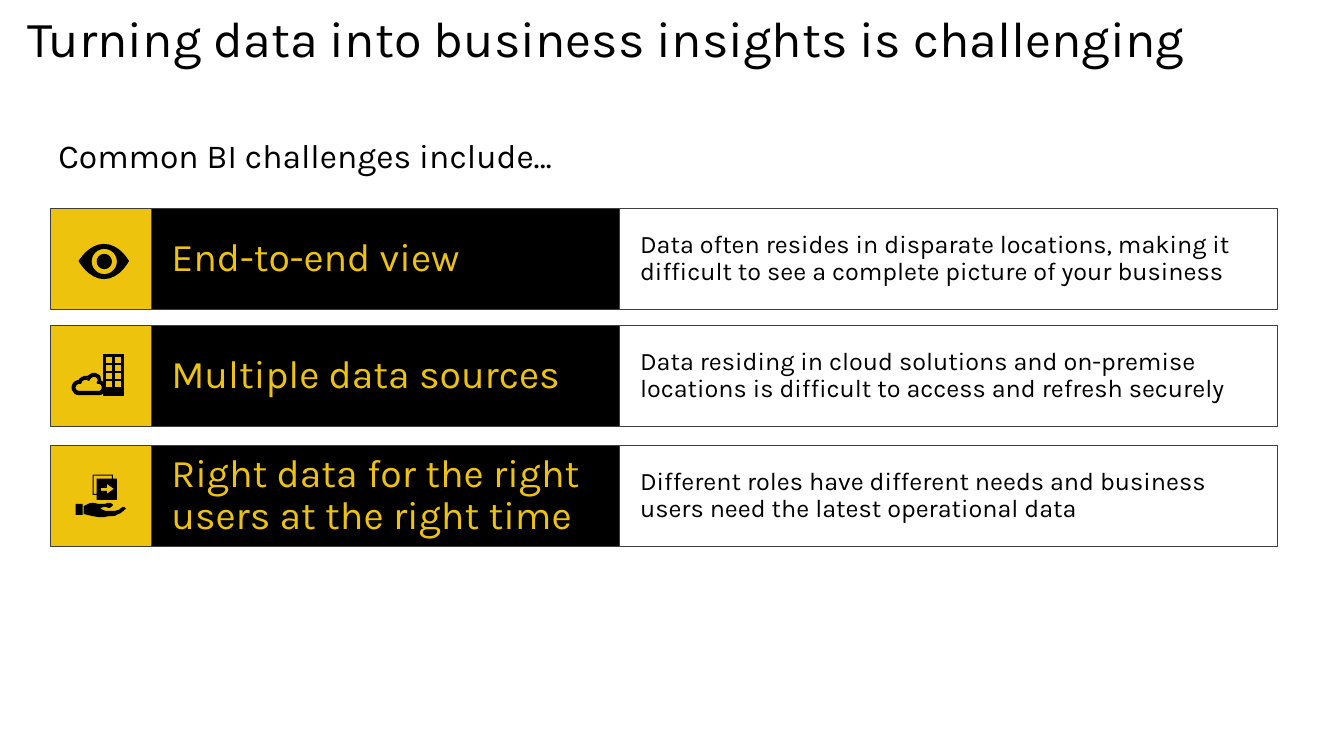
"""Build a slide listing common business-intelligence challenges."""
import math
from dataclasses import dataclass

from pptx import Presentation
from pptx import util as u
from pptx.dml.color import RGBColor
from pptx.enum import shapes, text

FONT = "Karla"
BLACK, WHITE, YELLOW, GREY = "000000", "FFFFFF", "EDC30D", "3E3E3E"
ROW_HEIGHT = 72
ICON_UNIT = 0.72
CURVE_STEPS = 8

Outline = list[tuple[float, ...]]


@dataclass
class Column:
    left: float
    width: float
    fill: str
    size: float = 0
    color: str = BLACK


@dataclass
class Icon:
    outlines: list[Outline]
    line_width: float = 0


@dataclass
class Challenge:
    top: float
    heading: str
    detail: str
    icons: list[Icon]


def rectangle(left: float, top: float, right: float, bottom: float) -> Outline:
    return [(left, top), (right, top), (right, bottom), (left, bottom)]


def circle(x: float, y: float, radius: float) -> Outline:
    angles = [math.tau * step / 36 for step in range(36)]
    return [(x + radius * math.cos(a), y + radius * math.sin(a)) for a in angles]


EYE = Icon([
    [(53, 35), (38, 35, 28, 52, 28, 52), (28, 52, 38, 70, 53, 70),
     (69, 70, 78, 52, 78, 52), (78, 52, 69, 35, 53, 35)],
    circle(53.5, 52.5, 12.5),
    circle(53.5, 52.5, 7.5),
])
BUILDING = Icon(
    [rectangle(53, 29, 73, 69)]
    + [rectangle(55 + 8.5 * column, 31 + 8 * row, 62 + 8.5 * column, 37.5 + 8 * row)
       for row in range(4) for column in range(2)],
    line_width=0.75,
)
CLOUD = Icon([
    [(52, 57), (51, 56, 50, 56, 49, 55), (49, 53, 49, 51, 48, 50),
     (46, 49, 45, 48, 43, 48), (41, 48, 39, 50, 37, 51), (36, 51, 36, 51, 35, 51),
     (33, 51, 32, 52, 30, 53), (30, 53, 29, 54, 29, 55), (27, 55, 25, 56, 24, 57),
     (23, 58, 22, 60, 22, 62), (22, 63, 23, 65, 24, 66), (25, 68, 27, 68, 29, 68),
     (48, 68), (49, 68, 51, 68, 52, 66), (53, 65, 54, 63, 54, 62),
     (54, 60, 53, 58, 52, 57)],
    [(48, 66), (29, 66), (26, 66, 24, 64, 24, 62), (24, 59, 26, 57, 29, 57), (30, 57),
     (30, 55, 32, 53, 35, 53), (36, 53, 37, 53, 38, 54), (39, 52, 41, 50, 43, 50),
     (46, 50, 48, 52, 48, 55), (48, 56, 47, 56, 47, 57), (48, 57),
     (50, 57, 52, 59, 52, 62), (52, 64, 50, 66, 48, 66)],
], line_width=1.5)
HAND_WITH_DOCUMENTS = Icon([
    [(75, 63), (73, 64), (73, 65), (72, 65, 71, 66, 70, 67), (68, 68, 65, 69, 64, 70),
     (61, 70, 57, 70, 54, 71), (49, 71, 49, 72, 33, 68), (33, 60),
     (36, 59, 37, 58, 40, 57), (43, 57, 45, 57, 47, 58), (49, 58, 50, 58, 53, 58),
     (55, 58, 56, 57, 58, 57), (60, 57, 62, 58, 62, 59), (62, 60, 60, 61, 59, 62),
     (56, 62, 57, 61, 54, 61), (51, 61, 51, 62, 49, 63), (51, 63, 52, 64, 55, 65),
     (58, 65, 60, 65, 63, 65), (65, 65, 66, 64, 68, 64), (69, 63, 71, 61, 73, 61),
     (74, 61, 75, 63, 75, 63)],
    rectangle(25, 58, 32, 69),
    [(66, 33), (66, 54), (46, 54), (46, 49), (42, 49), (42, 29), (62, 29), (62, 33)],
    [(46, 48), (46, 33), (61, 33), (61, 30), (43, 30), (43, 48)],
    [(63, 43), (56, 38), (56, 42), (50, 42), (50, 45), (56, 45), (56, 48)],
])

BADGE = Column(36, 72, YELLOW)
HEADING = Column(108, 334.8, BLACK, 28, YELLOW)
DETAIL = Column(442.8, 470, WHITE, 18)
CHALLENGES = [
    Challenge(149, "End-to-end view",
              "Data often resides in disparate locations, making it difficult to see "
              "a complete picture of your business", [EYE]),
    Challenge(232.5, "Multiple data sources",
              "Data residing in cloud solutions and on-premise locations is difficult "
              "to access and refresh securely", [BUILDING, CLOUD]),
    Challenge(318.2, "Right data for the right users at the right time",
              "Different roles have different needs and business users need the latest "
              "operational data", [HAND_WITH_DOCUMENTS]),
]


def rgb(value: str) -> RGBColor:
    return RGBColor.from_string(value)


def place(shape, left: float, top: float, width: float, height: float) -> None:
    shape.left, shape.top = u.Pt(left), u.Pt(top)
    shape.width, shape.height = u.Pt(width), u.Pt(height)


def write(shape, content: str, *, size: float, color: str = BLACK, spacing: float = 0.9,
          anchor=text.MSO_ANCHOR.TOP, inset: tuple[float, float] = (14.4, 11.5)) -> None:
    frame = shape.text_frame
    frame.word_wrap = True
    frame.vertical_anchor = anchor
    frame.margin_left = frame.margin_right = u.Pt(inset[0])
    frame.margin_top = frame.margin_bottom = u.Pt(inset[1])
    paragraph = frame.paragraphs[0]
    paragraph.alignment = text.PP_ALIGN.LEFT
    paragraph.line_spacing = spacing
    run = paragraph.add_run()
    run.text = content
    run.font.name, run.font.size = FONT, u.Pt(size)
    run.font.color.rgb = rgb(color)


def paint(shape, fill: str, line: str, line_width: float) -> None:
    shape.shadow.inherit = False
    shape.fill.solid()
    shape.fill.fore_color.rgb = rgb(fill)
    if line_width:
        shape.line.color.rgb = rgb(line)
        shape.line.width = u.Pt(line_width)
    else:
        shape.line.fill.background()


def flatten(outline: Outline) -> Outline:
    points = [outline[0]]
    for segment in outline[1:]:
        if len(segment) == 2:
            points.append(segment)
            continue
        x0, y0 = points[-1]
        x1, y1, x2, y2, x3, y3 = segment
        for step in range(1, CURVE_STEPS + 1):
            t = step / CURVE_STEPS
            a, b, c, d = (1 - t) ** 3, 3 * t * (1 - t) ** 2, 3 * t * t * (1 - t), t ** 3
            points.append((a * x0 + b * x1 + c * x2 + d * x3,
                           a * y0 + b * y1 + c * y2 + d * y3))
    return points


def draw_icon(group, icon: Icon, top: float) -> None:
    builder = None
    for outline in icon.outlines:
        points = [(u.Pt(BADGE.left + x * ICON_UNIT), u.Pt(top + y * ICON_UNIT))
                  for x, y in flatten(outline)]
        if builder is None:
            builder = group.shapes.build_freeform(*points[0])
        else:
            builder.move_to(*points[0])
        builder.add_line_segments(points[1:], close=True)
    paint(builder.convert_to_shape(), BLACK, BLACK, icon.line_width)


def draw_challenge(slide, challenge: Challenge) -> None:
    group = slide.shapes.add_group_shape()
    contents = ((HEADING, challenge.heading), (DETAIL, challenge.detail), (BADGE, ""))
    for column, content in contents:
        shape = group.shapes.add_shape(
            shapes.MSO_SHAPE.RECTANGLE, u.Pt(column.left), u.Pt(challenge.top),
            u.Pt(column.width), u.Pt(ROW_HEIGHT))
        paint(shape, column.fill, GREY, 0.75)
        if content:
            write(shape, content, size=column.size, color=column.color,
                  anchor=text.MSO_ANCHOR.MIDDLE)
    for icon in challenge.icons:
        draw_icon(group, icon, challenge.top)


def main() -> None:
    presentation = Presentation()
    presentation.slide_width, presentation.slide_height = u.Pt(960), u.Pt(540)
    slide = presentation.slides.add_slide(presentation.slide_layouts[5])
    title = slide.shapes.title
    place(title, 12.2, 1.4, 936, 51)
    write(title, "Turning data into business insights is challenging", size=36,
          spacing=1, inset=(7.2, 3.6))
    title.text_frame.auto_size = text.MSO_AUTO_SIZE.SHAPE_TO_FIT_TEXT
    subtitle = slide.shapes.add_textbox(u.Pt(23), u.Pt(87.8), u.Pt(585), u.Pt(39))
    write(subtitle, "Common BI challenges include…", size=24, inset=(18.7, 11.5))
    for challenge in CHALLENGES:
        draw_challenge(slide, challenge)
    presentation.save("out.pptx")


if __name__ == "__main__":
    main()
